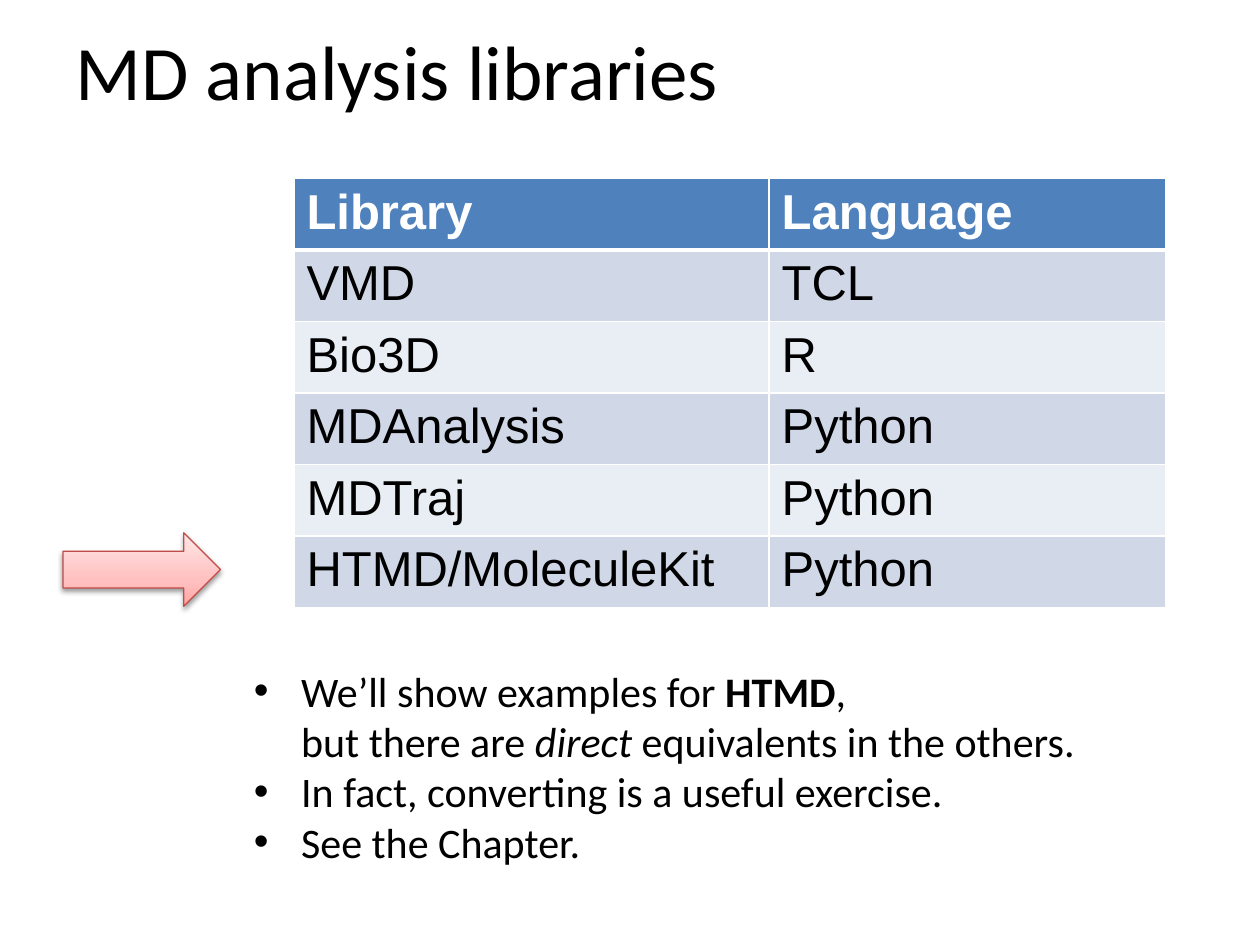
"""Build the slide that lists MD analysis libraries and their languages."""
import pptx
import pptx.dml.color
import pptx.enum.shapes
import pptx.enum.text
import pptx.oxml
import pptx.oxml.ns
import pptx.util

Pt = pptx.util.Pt

TITLE = "MD analysis libraries"
LIBRARIES = [
    ("Library", "Language"),
    ("VMD", "TCL"),
    ("Bio3D", "R"),
    ("MDAnalysis", "Python"),
    ("MDTraj", "Python"),
    ("HTMD/MoleculeKit", "Python"),
]
REMARKS = [
    [("We’ll show examples for ", ""), ("HTMD", "bold"), (", ", ""), ("\n", ""),
     ("but there are ", ""), ("direct", "italic"), (" equivalents in the others.", "")],
    [("In fact, converting is a useful exercise.", "")],
    [("See the Chapter.", "")],
]
THEME = {
    "text": "000000", "white": "FFFFFF", "header": "4F81BD",
    "bands": ("D0D8E8", "E9EDF4"),
    "arrow_stops": ((0, "FFA6A5"), (35, "FFC0BF"), (100, "FFE7E7")),
    "arrow_line": "BF4C48",
    "body_font": "Calibri", "table_font": "Arial",
    "title_size": 44, "table_size": 28, "remark_size": 24,
}
TITLE_BOX = (36, 6, 648, 68)
TABLE_PLACE = (168, 102)
COLUMN_WIDTHS = (271.5, 226.5)
ROW_HEIGHT = 38.3
ARROW_BOX = (36, 304.5, 90, 42)
REMARKS_BOX = (138, 376.5, 528, 124)
INDENT = 27


def points(values):
    return [Pt(value) for value in values]


def color(name):
    return pptx.dml.color.RGBColor.from_string(name)


def element(xml):
    head, rest = xml.split(">", 1)
    slash = "/" if head.endswith("/") else ""
    return pptx.oxml.parse_xml(f"{head.rstrip('/')} {pptx.oxml.ns.nsdecls('a')}{slash}>{rest}")


def set_font(paragraph, family, size, ink, bold=None):
    font = paragraph.font
    font.name, font.size, font.bold = family, Pt(size), bold
    font.color.rgb = color(ink)


def add_text_frame(slide, box):
    text_frame = slide.shapes.add_textbox(*points(box)).text_frame
    text_frame.word_wrap = True
    return text_frame


def add_title(slide):
    text_frame = add_text_frame(slide, TITLE_BOX)
    text_frame.vertical_anchor = pptx.enum.text.MSO_ANCHOR.MIDDLE
    paragraph = text_frame.paragraphs[0]
    paragraph.text = TITLE
    set_font(paragraph, THEME["body_font"], THEME["title_size"], THEME["text"])


def set_borders(cell, row):
    widths = {"lnL": 1, "lnR": 1, "lnT": 3 if row == 1 else 1, "lnB": 3 if row == 0 else 1}
    properties = cell._tc.get_or_add_tcPr()
    for position, (side, width) in enumerate(widths.items()):
        properties.insert(position, element(
            f'<a:{side} w="{Pt(width)}"><a:solidFill><a:srgbClr val="{THEME["white"]}"/>'
            f"</a:solidFill></a:{side}>"))


def add_library_table(slide):
    size = (sum(COLUMN_WIDTHS), ROW_HEIGHT * len(LIBRARIES))
    table = slide.shapes.add_table(
        len(LIBRARIES), len(COLUMN_WIDTHS), *points(TABLE_PLACE + size)).table
    for column, width in zip(table.columns, COLUMN_WIDTHS):
        column.width = Pt(width)
    for row, entries in enumerate(LIBRARIES):
        header = row == 0
        for column, entry in enumerate(entries):
            cell = table.cell(row, column)
            cell.fill.solid()
            cell.fill.fore_color.rgb = color(
                THEME["header"] if header else THEME["bands"][(row - 1) % 2])
            set_borders(cell, row)
            paragraph = cell.text_frame.paragraphs[0]
            paragraph.text = entry
            set_font(paragraph, THEME["table_font"], THEME["table_size"],
                     THEME["white"] if header else THEME["text"], header)


def add_arrow(slide):
    arrow = slide.shapes.add_shape(
        pptx.enum.shapes.MSO_SHAPE.RIGHT_ARROW, *points(ARROW_BOX))
    arrow.line.color.rgb = color(THEME["arrow_line"])
    arrow.line.width = Pt(0.75)
    stops = "".join(
        f'<a:gs pos="{place * 1000}"><a:srgbClr val="{shade}"/></a:gs>'
        for place, shade in THEME["arrow_stops"])
    properties = arrow._element.spPr
    properties.find(pptx.oxml.ns.qn("a:prstGeom")).addnext(element(
        f'<a:gradFill rotWithShape="1"><a:gsLst>{stops}</a:gsLst>'
        '<a:lin ang="16200000" scaled="0"/></a:gradFill>'))
    properties.append(element(
        f'<a:effectLst><a:outerShdw blurRad="{Pt(3.1)}" dist="{Pt(1.6)}" dir="5400000" '
        f'rotWithShape="0"><a:srgbClr val="{THEME["text"]}"><a:alpha val="38000"/>'
        "</a:srgbClr></a:outerShdw></a:effectLst>"))


def add_remarks(slide):
    text_frame = add_text_frame(slide, REMARKS_BOX)
    for index, remark in enumerate(REMARKS):
        paragraph = text_frame.add_paragraph() if index else text_frame.paragraphs[0]
        properties = paragraph._p.get_or_add_pPr()
        properties.set("marL", str(Pt(INDENT)))
        properties.set("indent", str(-Pt(INDENT)))
        properties.append(element('<a:buFont typeface="Arial"/>'))
        properties.append(element('<a:buChar char="•"/>'))
        set_font(paragraph, THEME["body_font"], THEME["remark_size"], THEME["text"])
        for text, style in remark:
            if text == "\n":
                paragraph.add_line_break()
                continue
            run = paragraph.add_run()
            run.text = text
            if style:
                setattr(run.font, style, True)


def main():
    presentation = pptx.Presentation()
    presentation.slide_width, presentation.slide_height = Pt(720), Pt(540)
    slide = presentation.slides.add_slide(presentation.slide_layouts[6])
    add_title(slide)
    add_library_table(slide)
    add_arrow(slide)
    add_remarks(slide)
    presentation.save("out.pptx")


if __name__ == "__main__":
    main()
